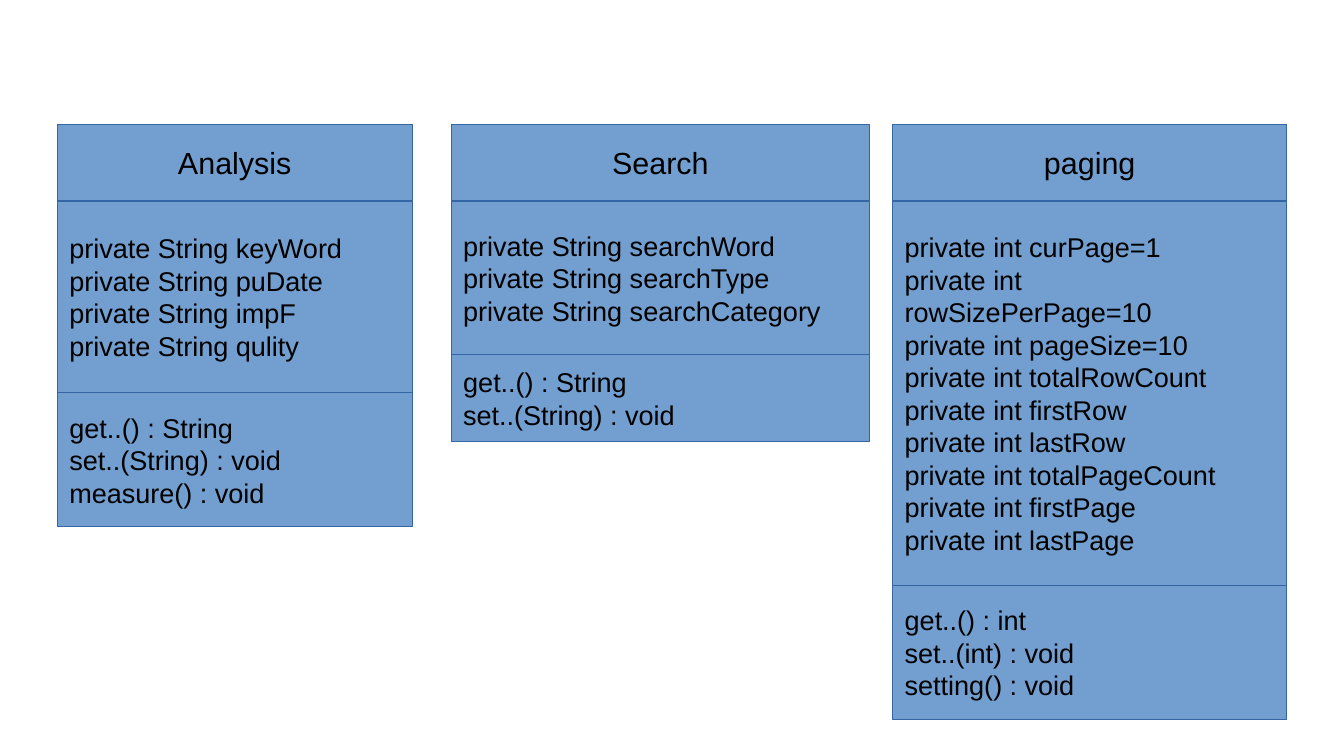
from dataclasses import dataclass

from pptx import Presentation
from pptx.dml.color import RGBColor
from pptx.enum.shapes import MSO_SHAPE
from pptx.enum.text import MSO_ANCHOR, PP_ALIGN
from pptx.util import Inches, Pt


@dataclass(frozen=True)
class Theme:
    font: str = "Arial"
    fill: RGBColor = RGBColor(0x72, 0x9F, 0xCF)
    line: RGBColor = RGBColor(0x34, 0x65, 0xA4)
    text: RGBColor = RGBColor(0, 0, 0)
    name_size: int = 18
    member_size: int = 16
    line_width: float = 0.75


theme = Theme()

# Content: each class with its column and compartment heights in inches
classes = [
    {
        "name": "Analysis", "left": 0.47, "width": 2.91,
        "fields": ["private String keyWord", "private String puDate",
                   "private String impF", "private String qulity"],
        "fields_height": 1.57,
        "methods": ["get..() : String", "set..(String) : void", "measure() : void"],
        "methods_height": 1.1,
    },
    {
        "name": "Search", "left": 3.7, "width": 3.43,
        "fields": ["private String searchWord", "private String searchType",
                   "private String searchCategory"],
        "fields_height": 1.26,
        "methods": ["get..() : String", "set..(String) : void"],
        "methods_height": 0.71,
    },
    {
        "name": "paging", "left": 7.32, "width": 3.23,
        "fields": ["private int curPage=1", "private int rowSizePerPage=10",
                   "private int pageSize=10", "private int totalRowCount",
                   "private int firstRow", "private int lastRow",
                   "private int totalPageCount", "private int firstPage",
                   "private int lastPage"],
        "fields_height": 3.15,
        "methods": ["get..() : int", "set..(int) : void", "setting() : void"],
        "methods_height": 1.1,
    },
]
diagram_top = 1.02
name_height = 0.63


def write_text(shape, lines, size=theme.member_size, align=PP_ALIGN.LEFT):
    frame = shape.text_frame
    frame.word_wrap = True
    frame.vertical_anchor = MSO_ANCHOR.MIDDLE
    frame.margin_left = frame.margin_right = Inches(0.1)
    frame.margin_top = frame.margin_bottom = Inches(0.05)
    frame.text = "\n".join(lines)
    for paragraph in frame.paragraphs:
        paragraph.alignment = align
        font = paragraph.runs[0].font
        font.name = theme.font
        font.size = Pt(size)
        font.color.rgb = theme.text


def add_compartment(slide, left, top, width, height, lines, **text_format):
    shape = slide.shapes.add_shape(
        MSO_SHAPE.RECTANGLE, Inches(left), Inches(top), Inches(width), Inches(height))
    shape.shadow.inherit = False
    shape.fill.solid()
    shape.fill.fore_color.rgb = theme.fill
    shape.line.color.rgb = theme.line
    shape.line.width = Pt(theme.line_width)
    write_text(shape, lines, **text_format)


# Slide on the blank layout
presentation = Presentation()
presentation.slide_width = Inches(11.02)
presentation.slide_height = Inches(6.2)
slide = presentation.slides.add_slide(presentation.slide_layouts[6])

# Class boxes: name, fields and methods stacked without gaps
for uml_class in classes:
    compartments = [
        (name_height, [uml_class["name"]],
         {"size": theme.name_size, "align": PP_ALIGN.CENTER}),
        (uml_class["fields_height"], uml_class["fields"], {}),
        (uml_class["methods_height"], uml_class["methods"], {}),
    ]
    top = diagram_top
    for height, lines, text_format in compartments:
        add_compartment(slide, uml_class["left"], top, uml_class["width"], height,
                        lines, **text_format)
        top += height

presentation.save("out.pptx")
